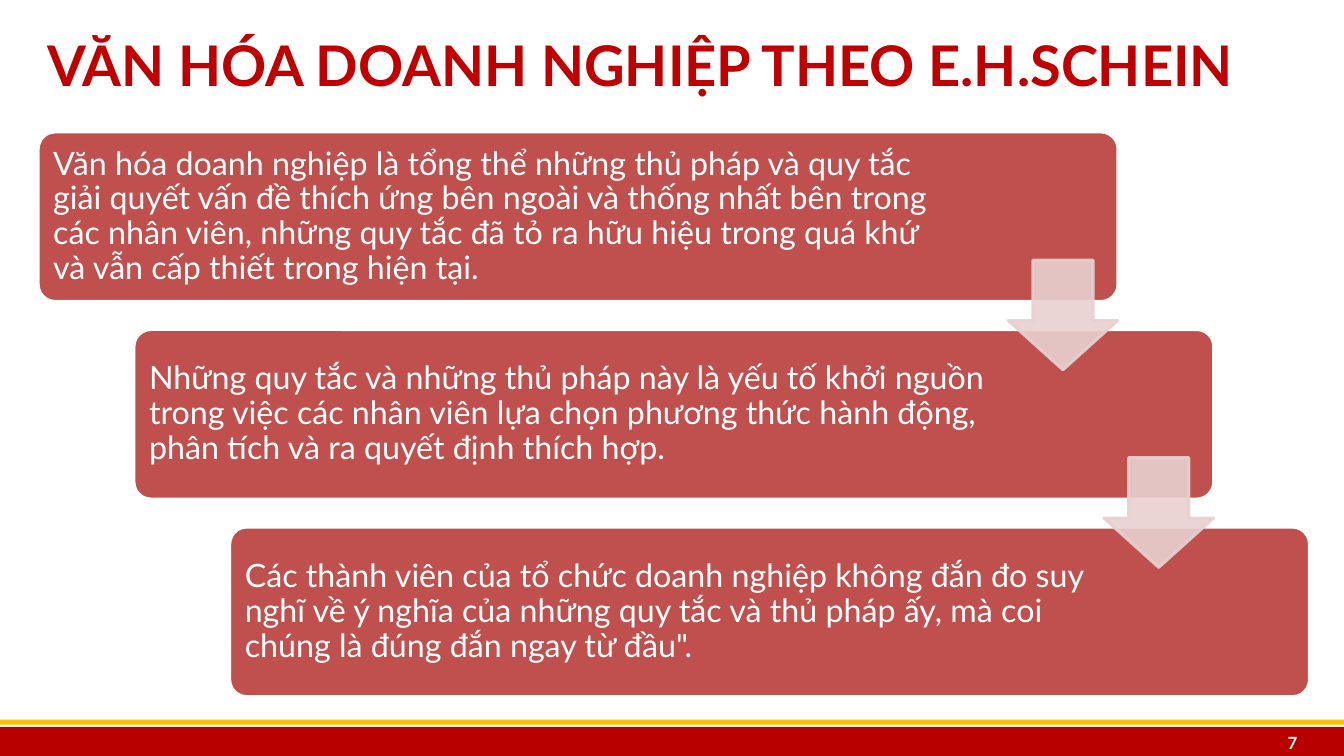
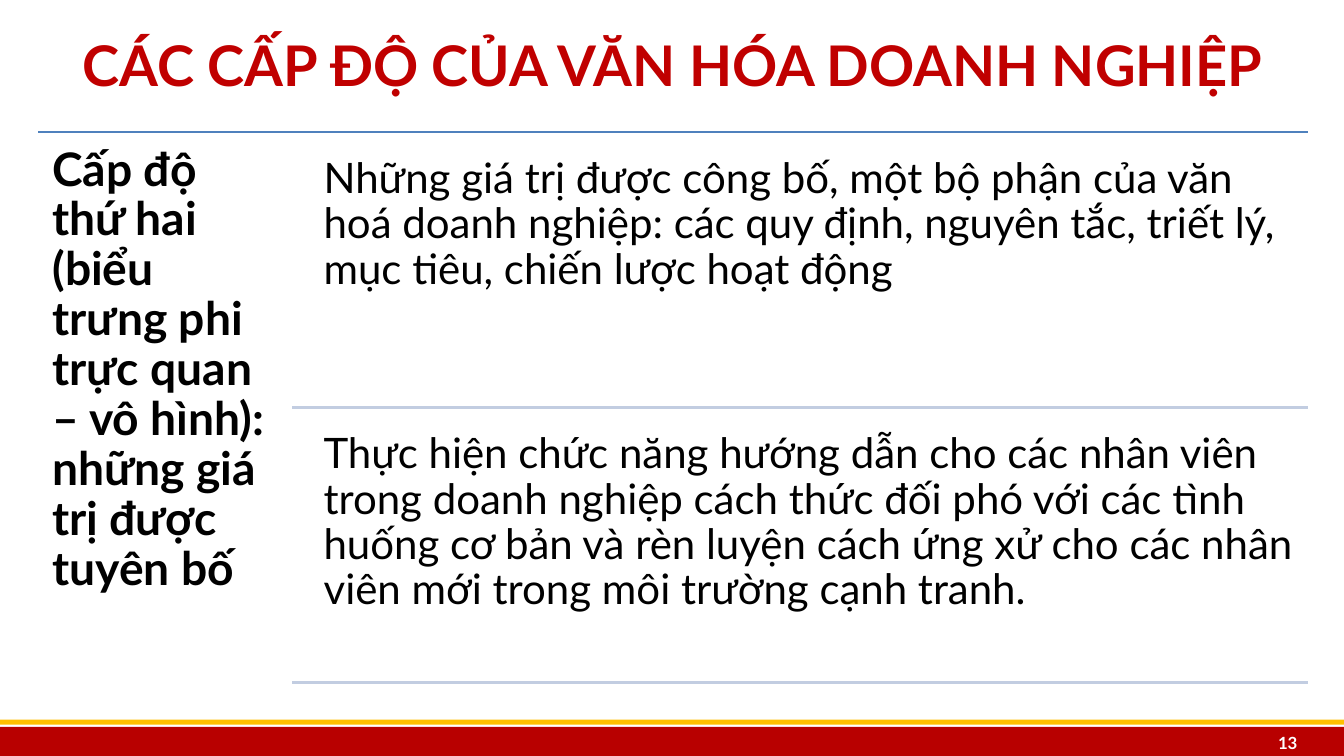
"""Build two slides on corporate culture with a shared title, band and page number."""
from dataclasses import dataclass

from lxml import etree
from pptx import Presentation
from pptx import util as u
from pptx.dml.color import RGBColor
from pptx.enum import shapes, text
from pptx.oxml.ns import qn


@dataclass(frozen=True)
class Theme:
    font: str = "Lato"
    white: str = "FFFFFF"
    black: str = "000000"
    band: str = "B80000"
    gold: str = "FFC000"
    title: str = "C00000"
    step: str = "C0504D"
    arrow: str = "E8D0D0"
    rule: str = "4F81BD"
    divider: str = "C2CDE1"
    title_size: int = 40
    level_size: int = 33
    body_size: int = 30
    step_size: int = 23
    page_size: int = 12
    line_width: int = 2


T = Theme()
PX = 9144
LEFT, RIGHT, TOP = 38, 1298, 131
SHAPE = shapes.MSO_SHAPE
ANCHOR = text.MSO_ANCHOR
ALIGN = text.PP_ALIGN


def add_shape(s, kind, at, fill, line=None, adj=(), alpha=None):
    sp = s.shapes.add_shape(kind, *(v * PX for v in at))
    sp.shadow.inherit = False
    for i, v in enumerate(adj):
        sp.adjustments[i] = v
    sp.fill.solid()
    sp.fill.fore_color.rgb = RGBColor.from_string(fill)
    if line:
        sp.line.color.rgb = RGBColor.from_string(line)
        sp.line.width = u.Pt(T.line_width)
    else:
        sp.line.fill.background()
    if alpha:
        for clr in sp.fill._xPr.iter(qn("a:srgbClr")):
            etree.SubElement(clr, qn("a:alpha"), val=str(alpha * 1000))


def add_text(s, at, words, size, color, bold=False, align=ALIGN.LEFT,
             anchor=ANCHOR.MIDDLE, inset=(10, 5), spacing=None):
    tf = s.shapes.add_textbox(*(v * PX for v in at)).text_frame
    x, y = (v * PX for v in inset)
    frame = {"word_wrap": True, "vertical_anchor": anchor, "margin_left": x,
             "margin_right": x, "margin_top": y, "margin_bottom": y}
    p = tf.paragraphs[0]
    r = p.add_run()
    r.text = words
    font = {"name": T.font, "size": u.Pt(size), "bold": bold}
    para = {"alignment": align, "line_spacing": spacing}
    for target, values in ((tf, frame), (p, para), (r.font, font)):
        for key, value in values.items():
            setattr(target, key, value)
    r.font.color.rgb = RGBColor.from_string(color)


prs = Presentation()
prs.slide_width, prs.slide_height = u.Inches(13.333), u.Inches(7.5)

slides = []
for title, align, page in (
    ("VĂN HÓA DOANH NGHIỆP THEO E.H.SCHEIN", ALIGN.LEFT, "7"),
    ("CÁC CẤP ĐỘ CỦA VĂN HÓA DOANH NGHIỆP", ALIGN.CENTER, "13"),
):
    s = prs.slides.add_slide(prs.slide_layouts[6])
    add_shape(s, SHAPE.RECTANGLE, (0, 721, 1334, 31), T.band)
    add_shape(s, SHAPE.RECTANGLE, (-1, 714, 1336, 5), T.gold)
    add_text(s, (37, 5, 1260, 118), title, T.title_size, T.title, True, align)
    add_text(s, (1210, 721, 87, 31), page, T.page_size, T.white, True,
             ALIGN.RIGHT, inset=(10, 0))
    slides.append(s)
schein, levels = slides

steps = (
    (890, "Văn hóa doanh nghiệp là tổng thể những thủ pháp và quy tắc giải quyết "
          "vấn đề thích ứng bên ngoài và thống nhất bên trong các nhân viên, những "
          "quy tắc đã tỏ ra hữu hiệu trong quá khứ và vẫn cấp thiết trong hiện tại."),
    (858, "Những quy tắc và những thủ pháp này là yếu tố khởi nguồn trong việc các "
          "nhân viên lựa chọn phương thức hành động, phân tích và ra quyết định "
          "thích hợp."),
    (858, "Các thành viên của tổ chức doanh nghiệp không đắn đo suy nghĩ về ý nghĩa "
          "của những quy tắc và thủ pháp ấy, mà coi chúng là đúng đắn ngay từ đầu\"."),
)
corners = [(LEFT + 95 * i, TOP + 196 * i) for i in range(len(steps))]
for (x, y), (width, words) in zip(corners, steps):
    add_shape(schein, SHAPE.ROUNDED_RECTANGLE, (x, y, 1071, 168), T.step,
              T.white, (0.1,))
    add_text(schein, (x + 5, y + 5, width, 158), words, T.step_size, T.white,
             inset=(10, 10), spacing=0.9)
for x, y in corners[:-1]:
    add_shape(schein, SHAPE.DOWN_ARROW, (x + 962, y + 127, 109, 109), T.arrow,
              T.arrow, (0.55, 0.45), 90)

add_text(levels, (LEFT, TOP, 252, 559),
         "Cấp độ thứ hai (biểu trưng phi trực quan – vô hình): "
         "những giá trị được tuyên bố",
         T.level_size, T.black, True, anchor=ANCHOR.TOP, inset=(14, 14), spacing=0.9)
rules = [(LEFT, TOP, T.rule)]
for i, words in enumerate((
    "Những giá trị được công bố, một bộ phận của văn hoá doanh nghiệp: các quy "
    "định, nguyên tắc, triết lý, mục tiêu, chiến lược hoạt động",
    "Thực hiện chức năng hướng dẫn cho các nhân viên trong doanh nghiệp cách thức "
    "đối phó với các tình huống cơ bản và rèn luyện cách ứng xử cho các nhân viên "
    "mới trong môi trường cạnh tranh.",
)):
    y = TOP + 13 + 273 * i
    add_text(levels, (309, y, 989, 260), words, T.body_size, T.black,
             anchor=ANCHOR.TOP, inset=(12, 12), spacing=0.9)
    rules.append((290, y + 260, T.divider))
for x, y, color in rules:
    ln = levels.shapes.add_connector(shapes.MSO_CONNECTOR.STRAIGHT,
                                     x * PX, y * PX, RIGHT * PX, y * PX)
    ln.line.color.rgb = RGBColor.from_string(color)
    ln.line.width = u.Pt(T.line_width)
    etree.SubElement(ln._element.spPr, qn("a:effectLst"))

prs.save("out.pptx")
